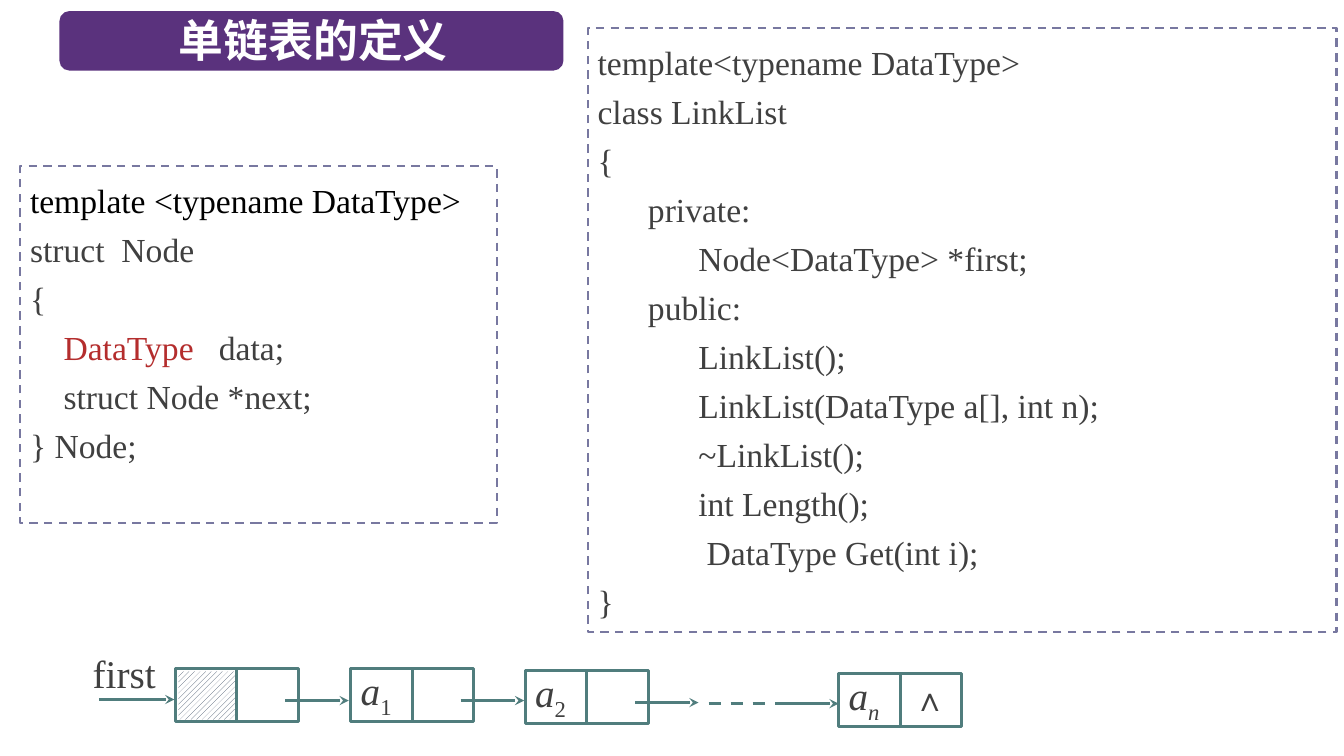
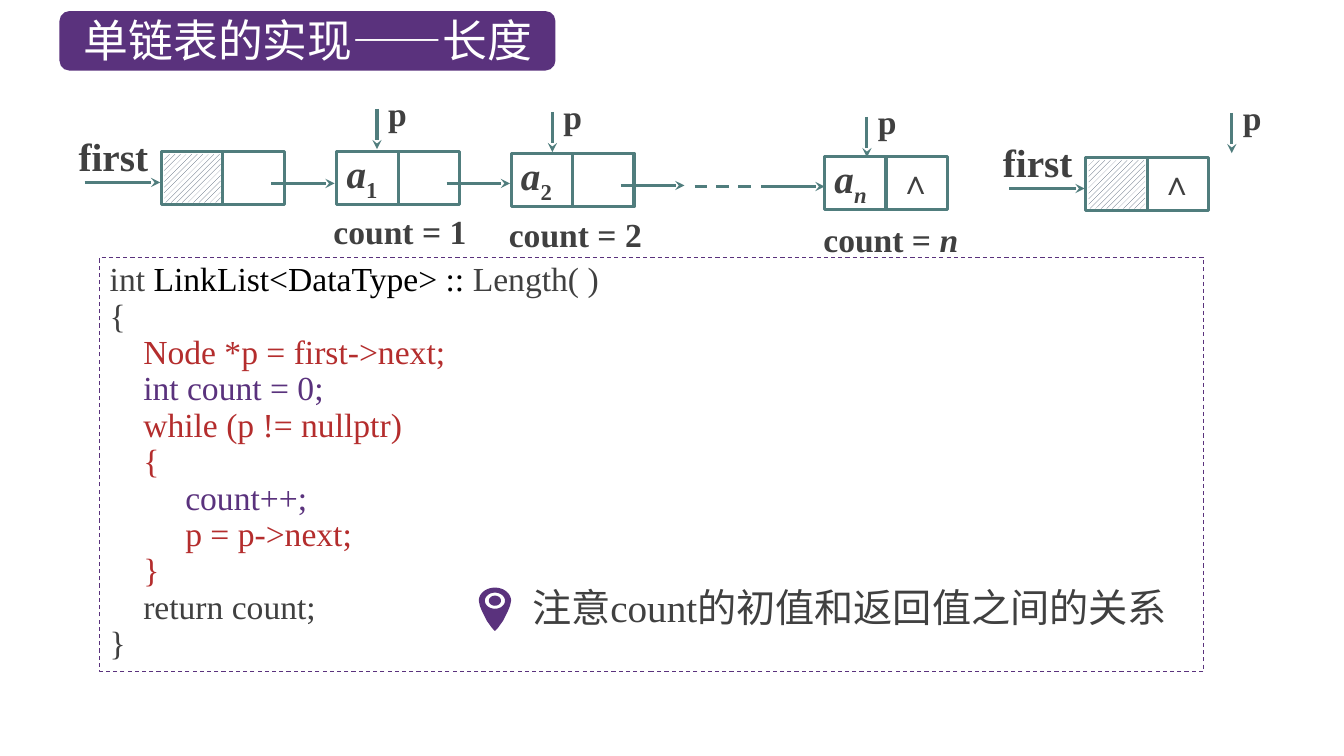
from dataclasses import dataclass
from math import cos, pi, sin
from typing import NamedTuple

from lxml import etree
from pptx import Presentation
from pptx.dml.color import RGBColor
from pptx.enum.dml import MSO_LINE, MSO_PATTERN
from pptx.enum.shapes import MSO_CONNECTOR, MSO_SHAPE
from pptx.enum.text import MSO_ANCHOR as Anchor, MSO_AUTO_SIZE, PP_ALIGN as Align
from pptx.oxml.ns import qn
from pptx.util import Emu, Inches, Pt

# Shared look
PURPLE, TEAL, RED, INK = "5A327D", "507D7D", "B42D2D", "404040"
BLACK, WHITE, SLATE, HATCH = "000000", "FFFFFF", "7878A0", "44546A"
LATIN, CJK = "Times New Roman", "Noto Sans CJK SC"

# The grid has square cells of a tenth of an inch
CELL = Inches(0.1)
COLUMNS, ROWS = 133.33, 75
NODE_W, NODE_H = 12.2, 5.3
ARROW_DROP = 3.2


class Piece(NamedTuple):
    text: str
    color: str = INK
    italic: bool = False
    sub: bool = False


class Area(NamedTuple):
    x: float
    y: float
    w: float
    h: float


class Insets(NamedTuple):
    left: float = 1
    top: float = 0.5
    right: float = 1
    bottom: float = 0.5


@dataclass(frozen=True)
class TextStyle:
    size: float = 24
    bold: bool = False
    font: str = LATIN
    spacing: float | Pt | None = None
    anchor: Anchor = Anchor.TOP
    align: Align = Align.LEFT
    insets: Insets = Insets()


@dataclass(frozen=True)
class Node:
    x: float
    y: float
    label: str = ""
    index: str = ""
    last: bool = False
    linked: bool = True


class Pointer(NamedTuple):
    x: float
    y: float
    count: str = ""


CHAIN = [
    Node(0, 0),
    Node(17.4, 0, "a", "1"),
    Node(34.7, 0.2, "a", "2"),
    Node(65.8, 0.5, "a", "n", last=True, linked=False),
]
POINTERS = [Pointer(37.4, 10.8, "1"), Pointer(54.8, 11.1, "2"),
            Pointer(86, 11.6, "n"), Pointer(122.2, 11.2)]

NODE_CODE = [
    [Piece("template <typename DataType>", BLACK)],
    [Piece("struct  Node")],
    [Piece("{")],
    [Piece("    DataType", RED), Piece("   data;")],
    [Piece("    struct Node *next;")],
    [Piece("} Node;")],
]
LIST_CODE = [[Piece(line)] for line in (
    "template<typename DataType>",
    "class LinkList",
    "{",
    "\tprivate:",
    "\t\tNode<DataType> *first;",
    "\tpublic:",
    "\t\tLinkList();",
    "\t\tLinkList(DataType a[], int n);",
    "\t\t~LinkList();",
    "\t\tint Length();",
    "\t\t DataType Get(int i);",
    "}",
)]
LENGTH_CODE = [
    [Piece("int "), Piece("LinkList<DataType> :: ", BLACK), Piece("Length( )")],
    [Piece("{")],
    [Piece("    Node *p = first->next;", RED)],
    [Piece("    int count = 0;", PURPLE)],
    [Piece("    while (p != nullptr)", RED)],
    [Piece("    {", RED)],
    [Piece("         count++;", PURPLE)],
    [Piece("         p = p->next;", RED)],
    [Piece("    }", RED)],
    [Piece("    return count;")],
    [Piece("}")],
]


def cells(count: float) -> Emu:
    return Emu(round(count * CELL))


def rgb(value: str) -> RGBColor:
    return RGBColor.from_string(value)


# Text
def write(shape, lines: list[list[Piece]], style: TextStyle, wrap: bool = True) -> None:
    frame = shape.text_frame
    frame.word_wrap = wrap
    frame.auto_size = MSO_AUTO_SIZE.NONE
    frame.vertical_anchor = style.anchor
    (frame.margin_left, frame.margin_top,
     frame.margin_right, frame.margin_bottom) = map(cells, style.insets)
    for number, line in enumerate(lines):
        paragraph = frame.add_paragraph() if number else frame.paragraphs[0]
        paragraph.alignment = style.align
        if style.spacing is not None:
            paragraph.line_spacing = style.spacing
        for piece in line:
            run = paragraph.add_run()
            run.text = piece.text
            font = run.font
            font.size, font.name = Pt(style.size), style.font
            font.bold, font.italic = style.bold, piece.italic
            font.color.rgb = rgb(piece.color)
            properties = run._r.get_or_add_rPr()
            etree.SubElement(properties, qn("a:ea"), typeface=CJK)
            if piece.sub:
                properties.set("baseline", "-25000")


def add_label(slide, area: Area, pieces: list[Piece], style: TextStyle,
              wrap: bool = False) -> None:
    box = slide.shapes.add_textbox(*map(cells, area))
    write(box, [pieces], style, wrap)


# Shapes and lines
def add_block(slide, area: Area, outline: str = "", width: float = 2.25,
              kind: MSO_SHAPE = MSO_SHAPE.RECTANGLE):
    block = slide.shapes.add_shape(kind, *map(cells, area))
    block.shadow.inherit = False
    block.fill.background()
    if outline:
        block.line.color.rgb = rgb(outline)
        block.line.width = Pt(width)
    else:
        block.line.fill.background()
    return block


def add_line(slide, x1: float, y1: float, x2: float, y2: float,
             arrow: bool = False, dashed: bool = False):
    line = slide.shapes.add_connector(
        MSO_CONNECTOR.STRAIGHT, *map(cells, (x1, y1, x2, y2)))
    line.line.color.rgb = rgb(TEAL)
    line.line.width = Pt(2.25)
    if dashed:
        line.line.dash_style = MSO_LINE.DASH
    properties = line._element.spPr
    if arrow:
        etree.SubElement(properties.find(qn("a:ln")), qn("a:tailEnd"), type="stealth")
    etree.SubElement(properties, qn("a:effectLst"))
    return line


def add_code(slide, area: Area, lines: list[list[Piece]], spacing: float,
             outline: str, width: float) -> None:
    panel = add_block(slide, area, outline, width)
    panel.line.dash_style = MSO_LINE.DASH
    write(panel, lines, TextStyle(spacing=Pt(spacing)))


def add_titled_slide(deck, text: str, band_w: float, area: Area, style: TextStyle):
    slide = deck.slides.add_slide(deck.slide_layouts[5])
    band = add_block(slide, Area(5.9, 1.1, band_w, 5.9),
                     kind=MSO_SHAPE.ROUNDED_RECTANGLE)
    band.fill.solid()
    band.fill.fore_color.rgb = rgb(PURPLE)
    title = slide.shapes.title
    title._element.addprevious(band._element)
    title.left, title.top, title.width, title.height = map(cells, area)
    write(title, [[Piece(text, WHITE)]], style)
    return slide


# Linked list
def draw_node(slide, x: float, y: float, node: Node, bold: bool) -> None:
    cell = add_block(slide, Area(x, y, NODE_W, NODE_H), TEAL)
    if node.label:
        write(cell, [[Piece(node.label, italic=True),
                      Piece(node.index, italic=node.index == "n", sub=True)]],
              TextStyle(28, bold, spacing=0.9, anchor=Anchor.MIDDLE,
                        insets=Insets(1, 0, 0, 0.8)))
    else:
        hatch = add_block(slide, Area(x + 0.3, y + 0.3, 5.6, 4.8))
        hatch.fill.patterned()
        hatch.fill.pattern = MSO_PATTERN.WIDE_UPWARD_DIAGONAL
        hatch.fill.fore_color.rgb = rgb(HATCH)
        hatch.fill.back_color.rgb = rgb(WHITE)
    middle = x + NODE_W / 2
    divider = add_line(slide, middle, y, middle, y + NODE_H)
    divider.begin_connect(cell, 0)
    divider.end_connect(cell, 2)
    if node.last:
        add_label(slide, Area(x + 6.4, y, 5.7, 4.9), [Piece("∧")],
                  TextStyle(24, bold, insets=Insets(1, 0.5, 1, 0.4)))
    if node.linked:
        start, level = x + 10.9, y + ARROW_DROP
        add_line(slide, start, level, start + 6.3, level, arrow=True)


def draw_first(slide, x: float, y: float, bold: bool) -> None:
    add_line(slide, x - 7.6, y + 3.1, x - 0.1, y + 3.1, arrow=True)
    add_label(slide, Area(x - 8.2, y - 1.9, 8.3, 5.1), [Piece("first")],
              TextStyle(28, bold, insets=Insets(0, 0, 0, 0.4)))


def draw_chain(slide, x: float, y: float, bold: bool = False) -> None:
    draw_first(slide, x, y, bold)
    for node in CHAIN:
        draw_node(slide, x + node.x, y + node.y, node, bold)
    level = y + 3.5
    add_line(slide, x + 52.9, level, x + 59.1, level, dashed=True)
    add_line(slide, x + 59.5, level, x + 65.8, level, arrow=True)


def draw_pointer(slide, pointer: Pointer) -> None:
    x, y, count = pointer
    add_line(slide, x, y, x, y + 4, arrow=True)
    add_label(slide, Area(x + 1.1, y - 1.6, 2.7, 4), [Piece("p")],
              TextStyle(bold=True, insets=Insets(0, 0, 0, 0)))
    if count:
        add_label(slide, Area(x - 5.3, y + 9.6, 16, 5),
                  [Piece("count = "), Piece(count, italic=count == "n")],
                  TextStyle(bold=True))


# Map pin: a drop with a ring cut out of its head
def oval(x: float, y: float, rx: float, ry: float, sweep: float = 2 * pi,
         steps: int = 32) -> list[tuple[Emu, Emu]]:
    angles = (pi + sweep * step / steps for step in range(steps + 1))
    return [(cells(x + rx * cos(a)), cells(y + ry * sin(a))) for a in angles]


def draw_pin(slide, x: float, y: float) -> None:
    side = [(1.5, 0.5), (1.3, 1), (0.8, 2), (0.3, 2.7)]
    tip = side + [(0, 3)] + [(-dx, dy) for dx, dy in reversed(side)]
    drop = oval(x, y, 1.6, 1.3, pi) + [(cells(x + dx), cells(y + dy)) for dx, dy in tip]
    builder = slide.shapes.build_freeform(*drop[0])
    builder.add_line_segments(drop[1:])
    for rx, ry in ((1, 0.8), (0.6, 0.5)):
        ring = oval(x, y, rx, ry)
        builder.move_to(*ring[0])
        builder.add_line_segments(ring[1:])
    pin = builder.convert_to_shape()
    pin.shadow.inherit = False
    pin.fill.solid()
    pin.fill.fore_color.rgb = rgb(PURPLE)
    pin.line.fill.background()


def build_definition(deck) -> None:
    slide = add_titled_slide(
        deck, "单链表的定义", 50, Area(7, 0.7, 48.2, 6.4),
        TextStyle(32, True, CJK, anchor=Anchor.MIDDLE, align=Align.CENTER))
    add_code(slide, Area(2, 16.5, 47.3, 35.4), NODE_CODE, 35, SLATE, 1.5)
    add_code(slide, Area(58.3, 2.8, 74.3, 59.9), LIST_CODE, 35, SLATE, 1.5)
    draw_chain(slide, 17.4, 66.3)


def build_length(deck) -> None:
    slide = add_titled_slide(
        deck, "单链表的实现——长度", 49.2, Area(7.3, 0.7, 47.7, 6.4),
        TextStyle(32, font=CJK, anchor=Anchor.MIDDLE))
    add_code(slide, Area(9.9, 25.5, 109.5, 41.1), LENGTH_CODE, 26, PURPLE, 0.75)
    draw_chain(slide, 16, 15, bold=True)
    draw_first(slide, 107.7, 15.6, bold=True)
    draw_node(slide, 107.7, 15.6, Node(0, 0, last=True, linked=False), bold=True)
    for pointer in POINTERS:
        draw_pointer(slide, pointer)
    draw_pin(slide, 49.1, 59.6)
    add_label(slide, Area(51.8, 57.4, 67.6, 5.7),
              [Piece("注意count的初值和返回值之间的关系")], TextStyle(28), wrap=True)


def main() -> None:
    deck = Presentation()
    deck.slide_width, deck.slide_height = cells(COLUMNS), cells(ROWS)
    build_definition(deck)
    build_length(deck)
    deck.save("out.pptx")


if __name__ == "__main__":
    main()
